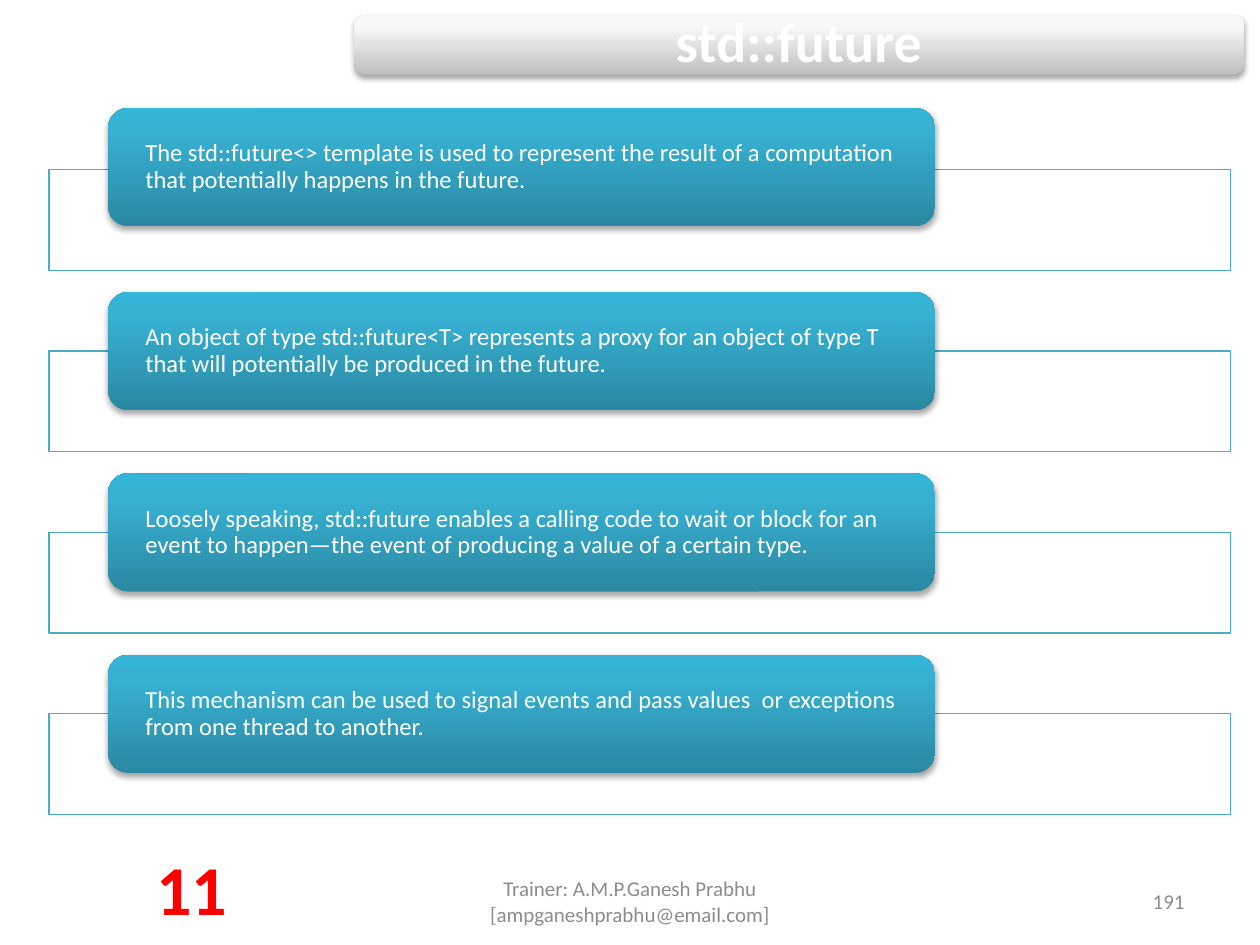
from dataclasses import dataclass

from lxml.etree import fromstring
from pptx import Presentation
from pptx.dml.color import RGBColor
from pptx.enum.shapes import MSO_SHAPE
from pptx.enum.text import MSO_ANCHOR, PP_ALIGN
from pptx.util import Pt


@dataclass(frozen=True)
class Theme:
    font: str = "Calibri"
    white: str = "FFFFFF"
    border: str = "4BACC6"
    muted: str = "8C8C8C"
    accent: str = "FF0000"
    shadow: str = "000000"
    teal: tuple = ((0, "2A88A2"), (80, "37B1D2"), (100, "34B4D6"))
    silver: tuple = ((0, "BEBEBE"), (80, "F7F7F7"), (100, "F8F8F8"))
    title_size: int = 32
    body_size: int = 14
    footer_size: int = 12
    number_size: int = 40


theme = Theme()
A = 'xmlns:a="http://schemas.openxmlformats.org/drawingml/2006/main"'


def write(s, text, size, color, bold=False, align=PP_ALIGN.LEFT,
          anchor=MSO_ANCHOR.MIDDLE, inset=(7.2, 3.6), spacing=1.0):
    tf = s.text_frame
    tf.word_wrap = True
    tf.vertical_anchor = anchor
    tf.margin_left = tf.margin_right = Pt(inset[0])
    tf.margin_top = tf.margin_bottom = Pt(inset[1])
    p = tf.paragraphs[0]
    p.alignment = align
    p.line_spacing = spacing
    r = p.add_run()
    r.text = text
    r.font.name = theme.font
    r.font.size = Pt(size)
    r.font.bold = bold
    r.font.color.rgb = RGBColor.from_string(color)


def add_glossy_box(left, top, width, height, stops):
    s = prs_slide.shapes.add_shape(
        MSO_SHAPE.ROUNDED_RECTANGLE, Pt(left), Pt(top), Pt(width), Pt(height))
    s.line.fill.background()
    gs = "".join(f'<a:gs pos="{pos * 1000}"><a:srgbClr val="{color}"/></a:gs>'
                 for pos, color in stops)
    ln = s.line._get_or_add_ln()
    ln.addprevious(fromstring(
        f'<a:gradFill {A} rotWithShape="1"><a:gsLst>{gs}</a:gsLst>'
        '<a:lin ang="16200000" scaled="0"/></a:gradFill>'))
    ln.addnext(fromstring(
        f'<a:effectLst {A}><a:outerShdw blurRad="{Pt(3.1)}" dist="{Pt(1.8)}" '
        f'dir="5400000" rotWithShape="0"><a:srgbClr val="{theme.shadow}">'
        '<a:alpha val="35000"/></a:srgbClr></a:outerShdw></a:effectLst>'))
    return s


prs = Presentation()
prs.slide_width = Pt(720)
prs.slide_height = Pt(540)
prs_slide = prs.slides.add_slide(prs.slide_layouts[6])

statements = [
    "The std::future<> template is used to represent the result of a "
    "computation that potentially happens in the future.",
    "An object of type std::future<T> represents a proxy for an object of "
    "type T that will potentially be produced in the future.",
    "Loosely speaking, std::future enables a calling code to wait or block "
    "for an event to happen—the event of producing a value of a certain type.",
    "This mechanism can be used to signal events and pass values  or "
    "exceptions from one thread to another.",
]
card_tops = [61.8, 167, 270.5, 374.2]
frame_top, frame_pitch = 97, 103.6

for i, (text, card_top) in enumerate(zip(statements, card_tops)):
    s = prs_slide.shapes.add_shape(
        MSO_SHAPE.RECTANGLE, Pt(28.1), Pt(frame_top + i * frame_pitch),
        Pt(675.2), Pt(57.6))
    s.shadow.inherit = False
    s.fill.solid()
    s.fill.fore_color.rgb = RGBColor.from_string(theme.white)
    s.line.color.rgb = RGBColor.from_string(theme.border)
    s.line.width = Pt(0.75)

    s = add_glossy_box(61.8, card_top, 472.5, 67.5, theme.teal)
    write(s, text, theme.body_size, theme.white, inset=(18, 0), spacing=0.9)

s = add_glossy_box(202.3, 8.6, 508.5, 34, theme.silver)
write(s, "std::future", theme.title_size, theme.white, bold=True,
      align=PP_ALIGN.CENTER, inset=(9.4, 9.4), spacing=0.9)

footer = dict(size=theme.footer_size, color=theme.muted)
captions = [
    (246, 500.6, 228, 28.8, "Trainer: A.M.P.Ganesh Prabhu [ampganeshprabhu@email.com]",
     dict(footer, align=PP_ALIGN.CENTER)),
    (516, 500.6, 168, 28.8, "191", dict(footer, align=PP_ALIGN.RIGHT)),
    (81.4, 479.5, 56.2, 55.4, "11",
     dict(size=theme.number_size, color=theme.accent, bold=True,
          align=PP_ALIGN.CENTER, anchor=MSO_ANCHOR.TOP)),
]
for left, top, width, height, text, style in captions:
    s = prs_slide.shapes.add_textbox(Pt(left), Pt(top), Pt(width), Pt(height))
    write(s, text, **style)

prs.save("out.pptx")
